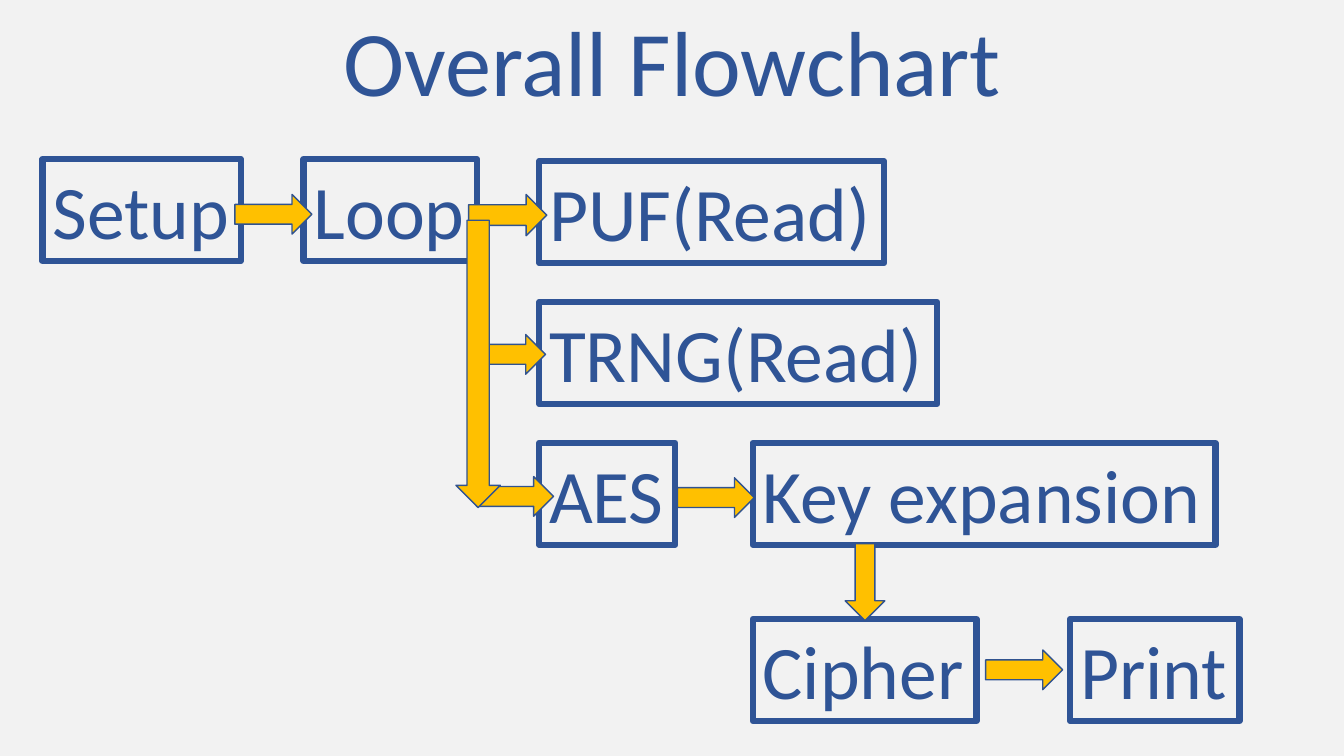
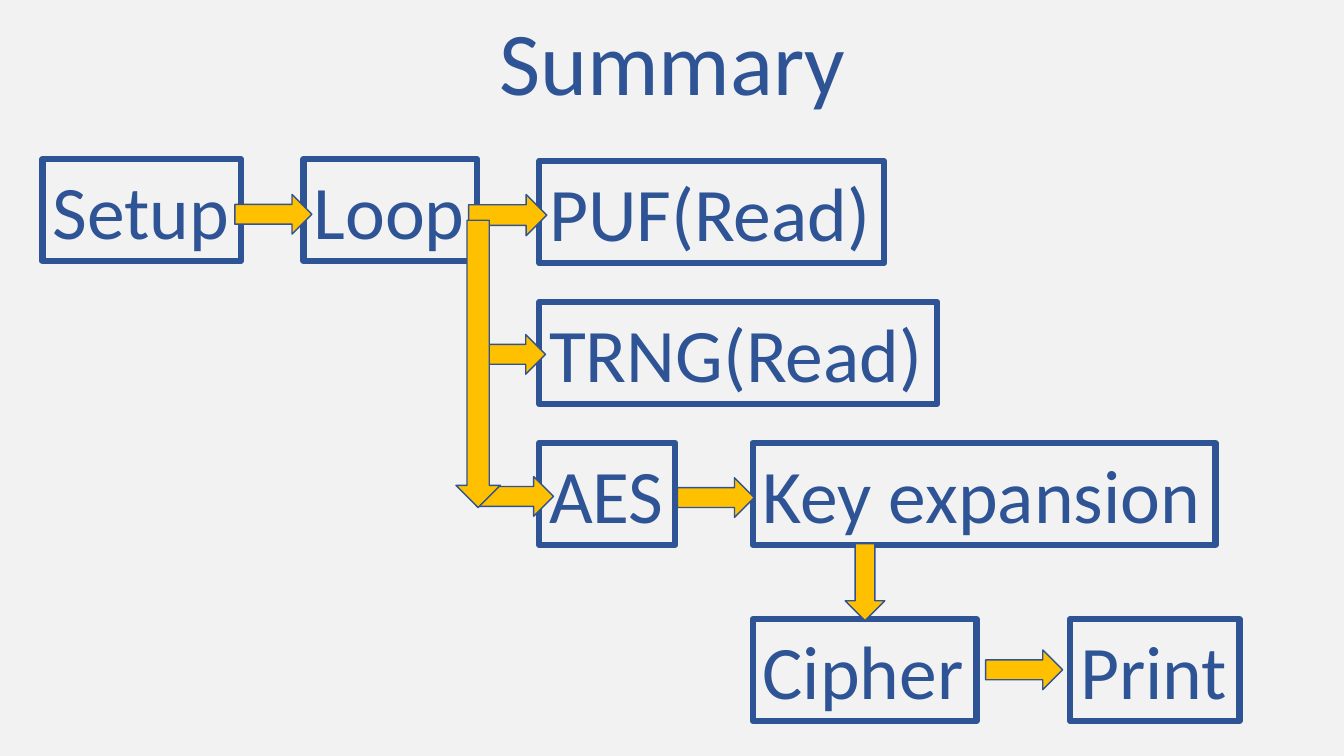
from pptx import Presentation
from pptx import util as u
from pptx.dml.color import RGBColor
from pptx.enum import shapes, text

COLOURS = {"ground": "F2F2F2", "ink": "2F5496", "arrow": "FFC000", "edge": "31538F"}
FONT = "Calibri"
RIGHT = shapes.MSO_SHAPE.RIGHT_ARROW
DOWN = shapes.MSO_SHAPE.DOWN_ARROW

# Grid of the flowchart, in centimetres
BOX_HEIGHT = 2.57
LEFT_ROW = 4.01
BRANCH_LEFT, STEP_LEFT = 13.59, 18.97
READ_ROW, RANDOM_ROW, AES_ROW = [4.06 + 3.55 * row for row in range(3)]
LAST_ROW = 15.6
LENGTH, THICKNESS = 1.94, 1

# Label, left, top, width
BOXES = [
    ("Setup", 1.07, LEFT_ROW, 5),
    ("Loop", 7.65, LEFT_ROW, 4.37),
    ("AES", BRANCH_LEFT, AES_ROW, 3.43),
    ("TRNG(Read)", BRANCH_LEFT, RANDOM_ROW, 10.03),
    ("PUF(Read)", BRANCH_LEFT, READ_ROW, 8.69),
    ("Cipher", STEP_LEFT, LAST_ROW, 5.64),
    ("Key expansion", STEP_LEFT, AES_ROW, 11.66),
    ("Print", 26.97, LAST_ROW, 4.27),
]

# Direction, left, top, width, height; the long trunk lies on top
ARROWS = [
    (RIGHT, 5.92, 4.9, LENGTH, THICKNESS),
    (RIGHT, 11.81, 4.9, 1.97, 1.04),
    (RIGHT, 17.07, 12.04, LENGTH, THICKNESS),
    (RIGHT, 24.84, 16.38, LENGTH, THICKNESS),
    (DOWN, 21.3, 13.7, THICKNESS, LENGTH),
    (RIGHT, 11.81, 8.43, LENGTH, THICKNESS),
    (RIGHT, 12.01, 12.01, LENGTH, THICKNESS),
    (DOWN, 11.49, 5.55, 1.12, 7.24),
]

TITLES = [("Overall Flowchart", 66), ("Summary", 64)]


def colour(name):
    return RGBColor.from_string(COLOURS[name])


def write(box, words, size, frame_format, para_format):
    """Put one styled line of text into a box."""
    frame = box.text_frame
    for name, value in frame_format.items():
        setattr(frame, name, value)
    para = frame.paragraphs[0]
    for name, value in para_format.items():
        setattr(para, name, value)
    span = para.add_run()
    span.text = words
    for name, value in {"name": FONT, "size": u.Pt(size)}.items():
        setattr(span.font, name, value)
    span.font.color.rgb = colour("ink")


TITLE_FRAME = {"word_wrap": True, "vertical_anchor": text.MSO_ANCHOR.MIDDLE}
TITLE_PARA = {"alignment": text.PP_ALIGN.CENTER, "line_spacing": 0.9}
BOX_FRAME = {"word_wrap": True, "vertical_anchor": text.MSO_ANCHOR.TOP, "margin_right": 0}
BOX_PARA = {"alignment": text.PP_ALIGN.LEFT}

# Deck and shared background
deck = Presentation()
deck.slide_width, deck.slide_height = u.Cm(33.87), u.Cm(19.05)
ground = deck.slide_master.background.fill
ground.solid()
ground.fore_color.rgb = colour("ground")

for title, title_size in TITLES:
    page = deck.slides.add_slide(deck.slide_layouts[6])

    # Title
    heading = page.shapes.add_textbox(u.Cm(2.34), u.Cm(0.18), u.Cm(29.21), u.Cm(3))
    write(heading, title, title_size, TITLE_FRAME, TITLE_PARA)

    # Step boxes
    for label, left, top, width in BOXES:
        box = page.shapes.add_shape(
            shapes.MSO_SHAPE.RECTANGLE, u.Cm(left), u.Cm(top), u.Cm(width), u.Cm(BOX_HEIGHT))
        box.shadow.inherit = False
        box.fill.background()
        box.line.color.rgb = colour("ink")
        box.line.width = u.Pt(4.5)
        write(box, label, 54, BOX_FRAME, BOX_PARA)

    # Block arrows
    for direction, *place in ARROWS:
        arrow = page.shapes.add_shape(direction, *[u.Cm(length) for length in place])
        arrow.shadow.inherit = False
        arrow.fill.solid()
        arrow.fill.fore_color.rgb = colour("arrow")
        arrow.line.color.rgb = colour("edge")
        arrow.line.width = u.Pt(1)

deck.save("out.pptx")
